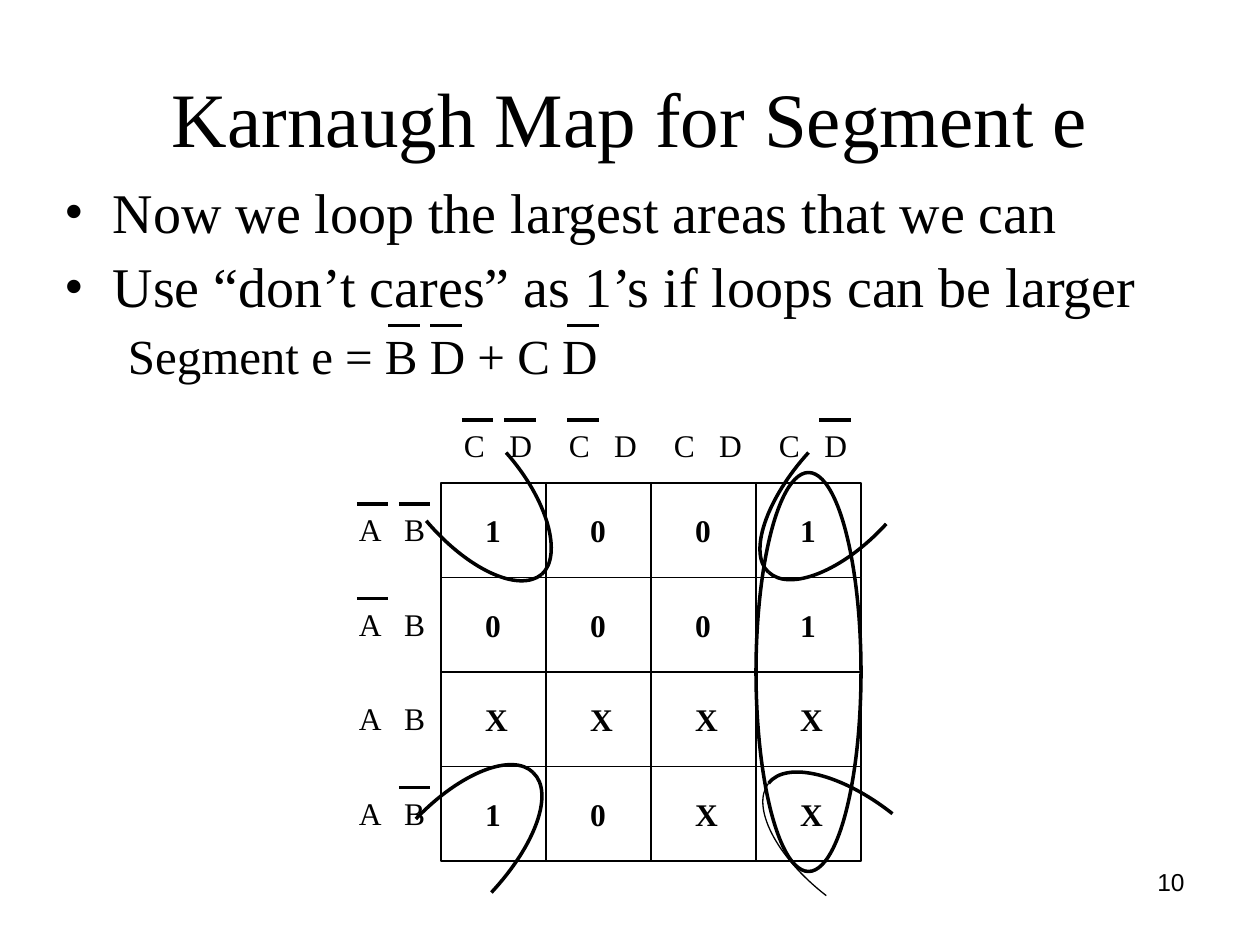
from dataclasses import dataclass
from pptx import Presentation
from pptx import util as u
from pptx.dml.color import RGBColor
from pptx.enum import shapes, text
from pptx.oxml.ns import qn
from lxml import etree


def color(value):
    return RGBColor.from_string(value)


def grid(units):
    return u.Emu(round(units * u.Inches(1) / 12))


def box(left, top, width, height):
    return [grid(value) for value in (left, top, width, height)]


@dataclass
class SlideBuilder:
    slide: object
    font: str = "Times New Roman"
    ink: str = "000000"
    thin: float = 0.75
    thick: float = 2

    def format_runs(self, paragraph, size, bold=False, font=None):
        for run in paragraph.runs:
            run.font.name = font or self.font
            run.font.size = u.Pt(size)
            run.font.bold = bold
            run.font.color.rgb = color(self.ink)

    def outline(self, shape, weight):
        shape.shadow.inherit = False
        shape.fill.background()
        shape.line.color.rgb = color(self.ink)
        shape.line.width = u.Pt(weight)

    def label(self, content, area, size, align=text.PP_ALIGN.LEFT,
              anchor=text.MSO_ANCHOR.TOP, font=None, tab=None):
        frame = self.slide.shapes.add_textbox(*box(*area)).text_frame
        frame.word_wrap = True
        frame.vertical_anchor = anchor
        frame.text = content
        paragraph = frame.paragraphs[0]
        paragraph.alignment = align
        if tab:
            stops = etree.SubElement(paragraph._p.get_or_add_pPr(), qn("a:tabLst"))
            etree.SubElement(stops, qn("a:tab"), pos=str(u.Inches(tab)), algn="l")
        self.format_runs(paragraph, size, font=font)

    def body(self, lines, area):
        frame = self.slide.shapes.add_textbox(*box(*area)).text_frame
        frame.word_wrap = True
        frame.text = "\n".join(content for content, *_ in lines)
        for index, (_, size, margin, indent, space, bullet) in enumerate(lines):
            paragraph = frame.paragraphs[index]
            properties = paragraph._p.get_or_add_pPr()
            properties.set("marL", str(u.Inches(margin)))
            properties.set("indent", str(u.Inches(indent)))
            if bullet:
                etree.SubElement(properties, qn("a:buFont"), typeface=self.font)
                etree.SubElement(properties, qn("a:buChar"), char=bullet)
            paragraph.line_spacing = 0.9
            paragraph.space_before = u.Pt(space if index else 0)
            self.format_runs(paragraph, size)

    def cell(self, content, area):
        shape = self.slide.shapes.add_shape(shapes.MSO_SHAPE.RECTANGLE, *box(*area))
        self.outline(shape, self.thin)
        frame = shape.text_frame
        frame.margin_left = u.Inches(0.35)
        frame.margin_right = 0
        frame.vertical_anchor = text.MSO_ANCHOR.MIDDLE
        frame.text = content
        paragraph = frame.paragraphs[0]
        paragraph.alignment = text.PP_ALIGN.LEFT
        self.format_runs(paragraph, 18, bold=True)

    def overbar(self, left, top):
        line = self.slide.shapes.add_connector(
            shapes.MSO_CONNECTOR.STRAIGHT,
            grid(left), grid(top), grid(left + 3), grid(top))
        line.line.color.rgb = color(self.ink)
        line.line.width = u.Pt(self.thick)
        etree.SubElement(line._element.spPr, qn("a:effectLst"))

    def ellipse(self, area):
        shape = self.slide.shapes.add_shape(shapes.MSO_SHAPE.OVAL, *box(*area))
        self.outline(shape, self.thick)

    def curve(self, points, weight):
        start, *rest = [(grid(x), grid(y)) for x, y in points]
        builder = self.slide.shapes.build_freeform(*start)
        builder.add_line_segments(rest, close=False)
        shape = builder.convert_to_shape()
        route = shape._element.find(".//" + qn("a:path"))
        bezier = etree.Element(qn("a:cubicBezTo"))
        for segment in route.findall(qn("a:lnTo")):
            bezier.append(segment[0])
            route.remove(segment)
        route.append(bezier)
        self.outline(shape, weight)


def main():
    presentation = Presentation()
    presentation.slide_width, presentation.slide_height = u.Inches(10), u.Inches(7.5)
    builder = SlideBuilder(presentation.slides.add_slide(presentation.slide_layouts[6]))

    builder.label("10", (86, 82, 28, 6.2), 14, text.PP_ALIGN.RIGHT, font="Arial")
    builder.label("Karnaugh Map for Segment e", (6, 3.6, 108, 15), 44,
                  text.PP_ALIGN.CENTER, text.MSO_ANCHOR.MIDDLE)
    builder.body([
        ("Now we loop the largest areas that we can", 32, 0.38, -0.38, 8, "•"),
        ("Use “don’t cares” as 1’s if loops can be larger", 32, 0.38, -0.38, 8, "•"),
        ("Segment e = B D + C D", 28, 0.81, -0.31, 7, None),
    ], (5, 17, 111, 21))

    map_left, map_top, cell_width, cell_height = 42, 46, 10, 9
    for row, values in enumerate(("1001", "0001", "XXXX", "10XX")):
        top = map_top + row * cell_height
        for column, value in enumerate(values):
            left = map_left + column * cell_width
            builder.cell(value, (left, top, cell_width, cell_height))
        builder.label("A\tB", (33, top + 2, 10, 4.8), 18, tab=0.36)
    for column in range(4):
        left = map_left + column * cell_width + 1
        builder.label("C\tD", (left, 40, 10, 4.8), 18, tab=0.36)

    overbars = {
        31: (37, 41, 54),
        40: (44, 48, 54, 78),
        48: (34, 38),
        57: (34,),
        75: (38,),
    }
    for top, lefts in overbars.items():
        for left in lefts:
            builder.overbar(left, top)

    builder.ellipse((72, 45, 10, 38))
    thin, thick = builder.thin, builder.thick
    corner_loops = [
        ((50.8, 73.6), [((46.8, 85), (51, 80.5), (52.8, 75.5), thick),
                        ((39.6, 78), (43.8, 73.6), (48.8, 71.6), thick)]),
        ((51.6, 54.7), [((48.2, 43.1), (52.2, 47.6), (53.6, 52.9), thick),
                        ((40.6, 49.6), (44.5, 54.2), (49.4, 56.5), thick)]),
        ((73.2, 54.5), [((84.4, 49.9), (80.3, 54.4), (75.2, 56.4), thick),
                        ((77, 43.1), (73, 47.5), (71.2, 52.7), thick)]),
        ((73.2, 74.6), [((78.7, 85.3), (73.9, 81.6), (71.5, 76.8), thin),
                        ((85, 77.5), (80.2, 73.7), (74.9, 72.4), thick)]),
    ]
    for apex, halves in corner_loops:
        for *points, weight in halves:
            builder.curve([*points, apex], weight)

    presentation.save("out.pptx")


if __name__ == "__main__":
    main()
